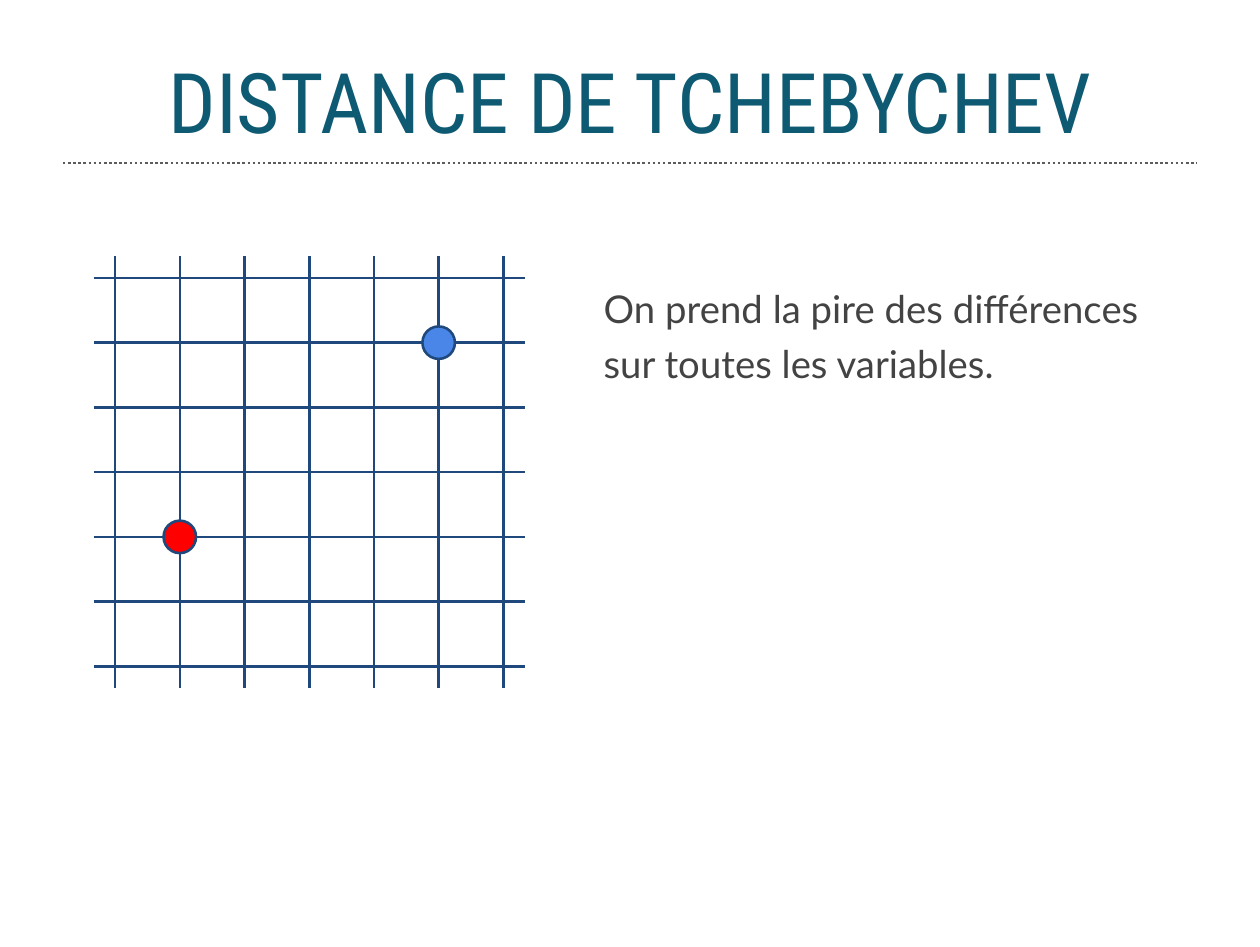
from lxml import etree
from pptx import Presentation
from pptx import util as u
from pptx.dml.color import RGBColor
from pptx.enum import dml, shapes, text
from pptx.oxml.ns import qn

WIDTH, HEIGHT = 5.03, 3.78
COLOURS = {
    "title": "0E5A73",
    "body": "434343",
    "rule": "5C5C5C",
    "grid": "1F497D",
    "red": "FF0000",
    "blue": "4A86E8",
}
CELLS = 6
CELL = 1.55 / CELLS
LEFT, TOP = 0.46, 1.11
OVERHANG = CELL / 3
DOT = 0.13


def write(box, words, *, at, font, size, colour, align, anchor, inset=0, spacing=1.0):
    box.left, box.top, box.width, box.height = [u.Inches(length) for length in at]
    frame = box.text_frame
    frame.word_wrap = True
    frame.auto_size = text.MSO_AUTO_SIZE.NONE
    frame.vertical_anchor = anchor
    frame.margin_left = frame.margin_right = u.Inches(inset)
    frame.margin_top = frame.margin_bottom = u.Inches(inset)
    para = frame.paragraphs[0]
    para.alignment = align
    para.line_spacing = spacing
    para.space_before = u.Pt(0)
    span = para.add_run()
    span.text = words
    span.font.name = font
    span.font.size = u.Pt(size)
    span.font.color.rgb = RGBColor.from_string(COLOURS[colour])
    return para


def draw_line(parent, x1, y1, x2, y2, colour):
    ends = [u.Inches(length) for length in (x1, y1, x2, y2)]
    line = parent.add_connector(shapes.MSO_CONNECTOR.STRAIGHT, *ends)
    line.line.color.rgb = RGBColor.from_string(COLOURS[colour])
    line.line.width = u.Pt(0.75)
    etree.SubElement(line._element.spPr, qn("a:effectLst"))
    return line


deck = Presentation()
deck.slide_width, deck.slide_height = u.Inches(WIDTH), u.Inches(HEIGHT)
page = deck.slides.add_slide(deck.slide_layouts[1])
title, body = page.placeholders

rule = draw_line(page.shapes, 0.05 * WIDTH, 0.65, 0.95 * WIDTH, 0.65, "rule")
rule.line.dash_style = dml.MSO_LINE.ROUND_DOT

write(title, "DISTANCE DE TCHEBYCHEV", at=(0.27, 0, 4.49, 0.8),
      font="Roboto Condensed", size=24, colour="title",
      align=text.PP_ALIGN.CENTER, anchor=text.MSO_ANCHOR.MIDDLE, inset=0.1)

sentence = write(body, "On prend la pire des différences sur toutes les variables.",
                 at=(2.41, 1.1, 2.22, 0.79), font="Lato", size=11, colour="body",
                 align=text.PP_ALIGN.LEFT, anchor=text.MSO_ANCHOR.TOP, spacing=1.21)
properties = sentence._p.get_or_add_pPr()
properties.set("marL", "0")
properties.set("indent", "0")
etree.SubElement(properties, qn("a:buNone"))

grid = page.shapes.add_group_shape()
right, bottom = LEFT + CELLS * CELL, TOP + CELLS * CELL
for index in range(CELLS + 1):
    x, y = LEFT + index * CELL, TOP + index * CELL
    draw_line(grid.shapes, x, TOP - OVERHANG, x, bottom + OVERHANG, "grid")
    draw_line(grid.shapes, LEFT - OVERHANG, y, right + OVERHANG, y, "grid")

for column, row, colour in [(1, 4, "red"), (5, 1, "blue")]:
    x, y = LEFT + column * CELL, TOP + row * CELL
    dot = page.shapes.add_shape(shapes.MSO_SHAPE.OVAL, u.Inches(x - DOT / 2),
                                u.Inches(y - DOT / 2), u.Inches(DOT), u.Inches(DOT))
    dot.shadow.inherit = False
    dot.fill.solid()
    dot.fill.fore_color.rgb = RGBColor.from_string(COLOURS[colour])
    dot.line.color.rgb = RGBColor.from_string(COLOURS["grid"])
    dot.line.width = u.Pt(0.75)

deck.save("out.pptx")
